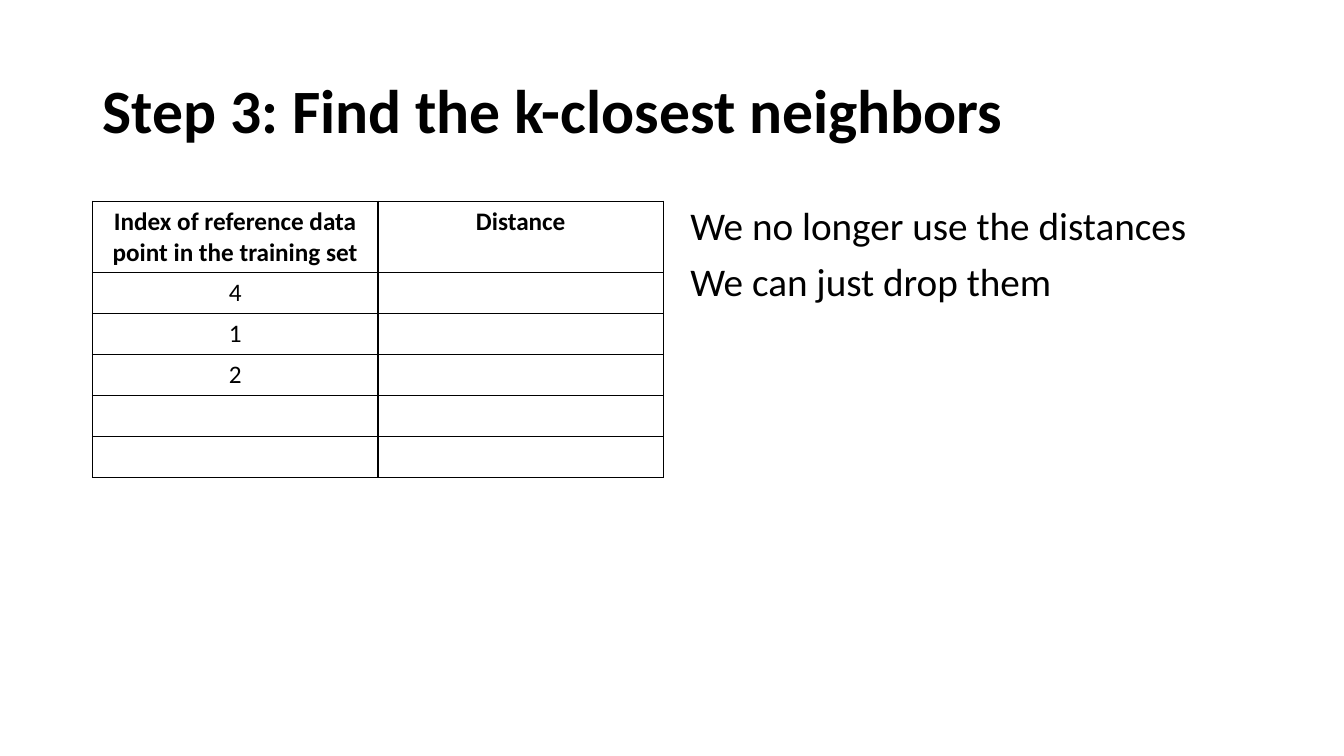
"""Build the slide on finding the k-closest neighbors."""
from lxml import etree
from pptx import Presentation
from pptx.dml.color import RGBColor
from pptx.enum import text
from pptx.oxml import parse_xml
from pptx.oxml.ns import nsdecls
from pptx.util import Pt


def write(frame, content, size, bold=False, align=text.PP_ALIGN.LEFT, line=1.0, gap=0):
    frame.word_wrap = True
    for number, sentence in enumerate(content.split("\n")):
        paragraph = frame.paragraphs[0] if number == 0 else frame.add_paragraph()
        paragraph.alignment = align
        paragraph.line_spacing = line
        paragraph.space_before = Pt(gap if number else 0)
        paragraph.font.size = Pt(size)
        if sentence:
            run = paragraph.add_run()
            run.text = sentence
            run.font.name = "Calibri"
            run.font.size = Pt(size)
            run.font.bold = bold
            run.font.color.rgb = RGBColor.from_string("000000")


deck = Presentation()
deck.slide_width, deck.slide_height = Pt(960), Pt(540)
slide = deck.slides.add_slide(deck.slide_layouts[5])

title = slide.shapes.title
title.left, title.top, title.width, title.height = Pt(66), Pt(28.75), Pt(828), Pt(104.4)
title.text_frame.vertical_anchor = text.MSO_ANCHOR.MIDDLE
title.text_frame.auto_size = text.MSO_AUTO_SIZE.NONE
write(title.text_frame, "Step 3: Find the k-closest neighbors", 44, bold=True, line=0.9)

neighbors = [
    ("Index of reference data point in the training set", "Distance"),
    ("4", ""),
    ("1", ""),
    ("2", ""),
    ("", ""),
    ("", ""),
]
header_height, row_height = 50.6, 29.2
table_height = header_height + row_height * (len(neighbors) - 1)
table = slide.shapes.add_table(
    len(neighbors), 2, Pt(66), Pt(143.75), Pt(408), Pt(table_height)
).table
table.first_row = table.horz_banding = False
for row, values in enumerate(neighbors):
    table.rows[row].height = Pt(row_height if row else header_height)
    for column, value in enumerate(values):
        cell = table.cell(row, column)
        write(cell.text_frame, value, 18, bold=row == 0, align=text.PP_ALIGN.CENTER)
        properties = cell._tc.get_or_add_tcPr()
        for side in ("lnL", "lnR", "lnT", "lnB"):
            border = parse_xml(f'<a:{side} {nsdecls("a")} w="{Pt(1)}"/>')
            solid = etree.SubElement(border, "{%s}solidFill" % border.nsmap["a"])
            etree.SubElement(solid, "{%s}srgbClr" % border.nsmap["a"], val="000000")
            properties.append(border)
        cell.fill.background()

remarks = slide.shapes.add_textbox(Pt(486), Pt(143.75), Pt(408), Pt(342.6))
write(
    remarks.text_frame,
    "We no longer use the distances\nWe can just drop them",
    28,
    line=0.9,
    gap=10,
)

deck.save("out.pptx")
